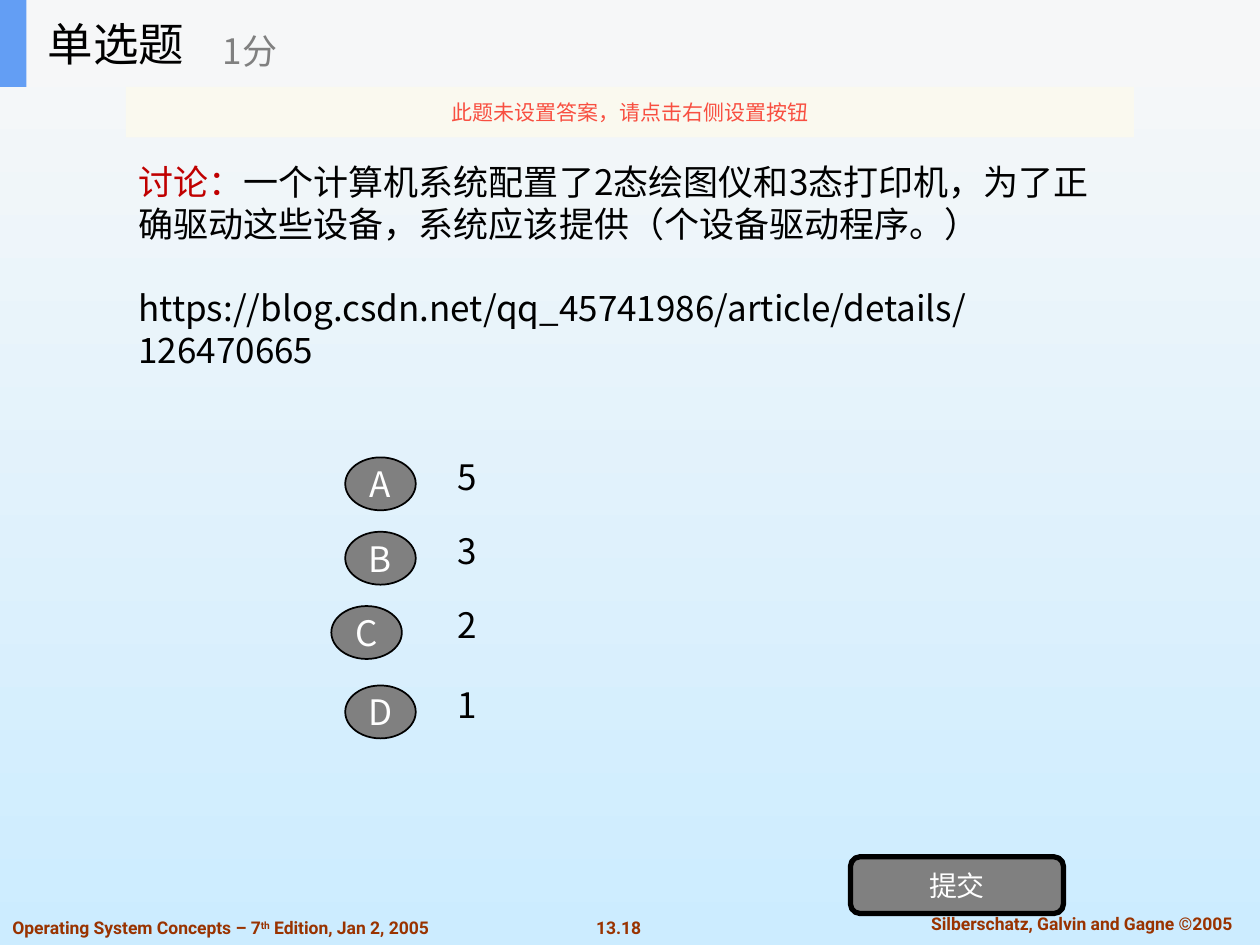
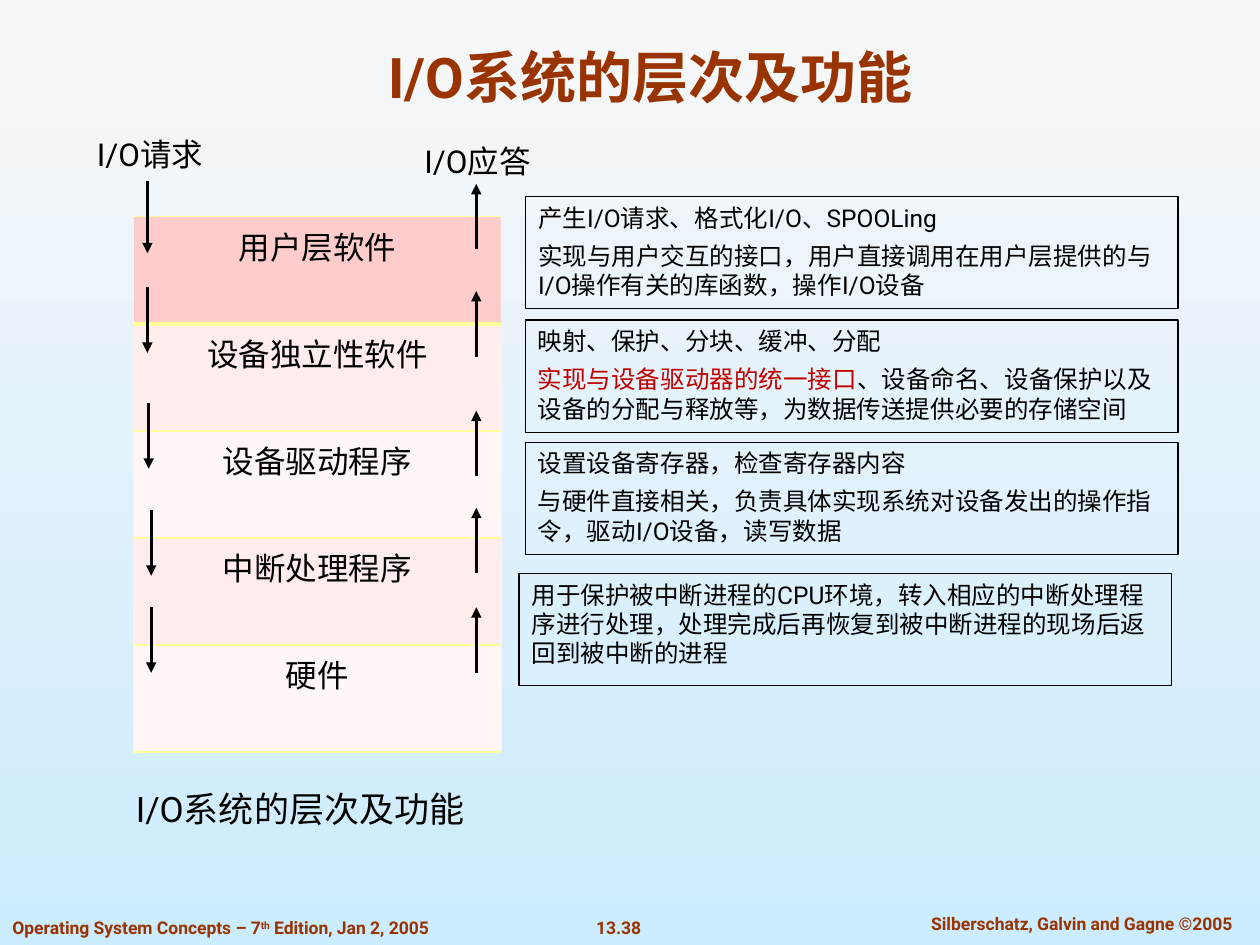
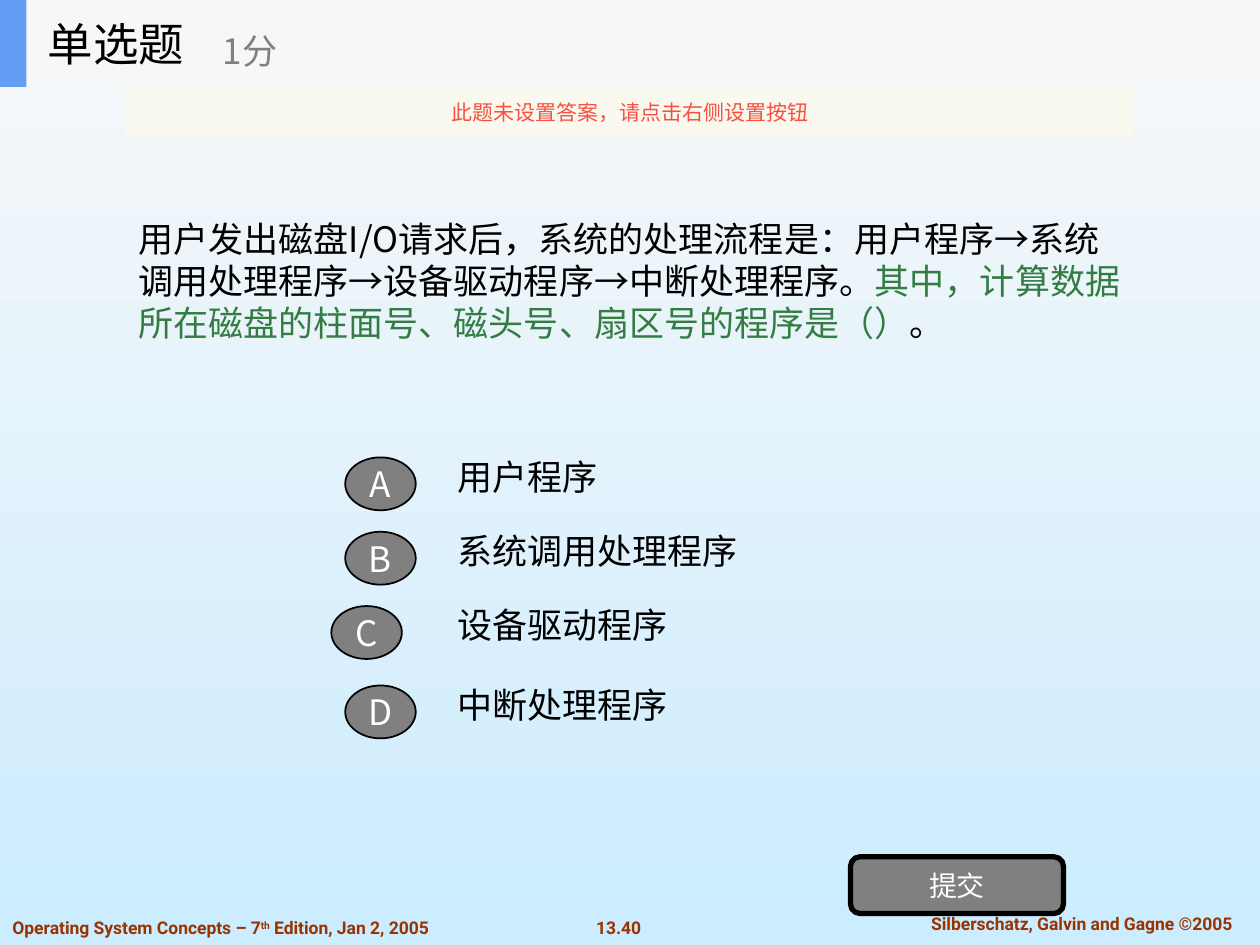
from lxml.etree import SubElement
from pptx import Presentation
from pptx.dml.color import RGBColor as RGB
from pptx.enum.shapes import MSO_CONNECTOR as LINE, MSO_SHAPE as SHAPE
from pptx.enum.text import MSO_ANCHOR as ANCHOR, MSO_AUTO_SIZE as AUTO, PP_ALIGN as ALIGN
from pptx.oxml.ns import qn
from pptx.util import Inches, Pt

HUES = {
    "top": "F8F8F8", "base": "CCECFF", "brand": "993300", "ink": "000000",
    "white": "FFFFFF", "gray": "808080", "red": "C00000", "green": "337D45",
    "band": "F6F7F8", "blue": "639EF4", "cream": "FBFAEF", "warn": "F84F41",
    "edge": "FFFF99", "rose": "FFCCCC", "pink": "FFECEC", "pale": "FFF6F6",
}
SANS, CJK = "Roboto", "Noto Sans CJK SC"
TASK = "此题未设置答案，请点击右侧设置按钮"
LAYERS = [("用户层软件", "rose"), ("设备独立性软件", "pink"), ("设备驱动程序", "pale"),
          ("中断处理程序", "pink"), ("硬件", "pale")]
DUTIES = [
    ((4.17, 1.56), [[("产生I/O请求、格式化I/O、SPOOLing", "ink")],
                    [("实现与用户交互的接口，用户直接调用在用户层提供的与I/O操作有关的库函数，操作I/O设备", "ink")]]),
    ((4.17, 2.54), [[("映射、保护、分块、缓冲、分配", "ink")],
                    [("实现与设备驱动器的统一接口", "red"),
                     ("、设备命名、设备保护以及设备的分配与释放等，为数据传送提供必要的存储空间", "ink")]]),
    ((4.17, 3.51), [[("设置设备寄存器，检查寄存器内容", "ink")],
                    [("与硬件直接相关，负责具体实现系统对设备发出的操作指令，驱动I/O设备，读写数据", "ink")]]),
    ((4.12, 4.55), [[("用于保护被中断进程的CPU环境，转入相应的中断处理程序进行处理，"
                      "处理完成后再恢复到被中断进程的现场后返回到被中断的进程", "ink")]]),
]
DOWN = [(1.17, 1.44, 2.01), (1.17, 2.28, 2.8), (1.18, 3.2, 3.72), (1.2, 4.05, 4.57), (1.2, 4.82, 5.34)]
UP = [(3.78, low, low - 0.52) for low in (1.98, 2.83, 3.78, 4.55, 5.34)]


def hue(name):
    """Return the named colour."""
    return RGB.from_string(HUES[name])


def span(box):
    """Turn a box in inches into lengths."""
    return [Inches(n) for n in box]


def write(frame, paras, size, font=CJK, align=ALIGN.LEFT, gap=0, bold=False):
    """Fill a text frame with paragraphs of (text, colour) runs."""
    for i, runs in enumerate(paras):
        para = frame.add_paragraph() if i else frame.paragraphs[0]
        para.alignment = align
        para.space_before = Pt(gap if i else 0)
        for words, tint in runs:
            run = para.add_run()
            run.text = words
            run.font.size, run.font.name, run.font.bold = Pt(size), font, bold
            run.font.color.rgb = hue(tint)
            SubElement(run._r.get_or_add_rPr(), qn("a:ea"), typeface=CJK)


def setup(frame, anchor=ANCHOR.TOP):
    """Make a frame wrap at a fixed size."""
    frame.word_wrap = True
    frame.auto_size = AUTO.NONE
    frame.vertical_anchor = anchor


def label(slide, box, paras, size, anchor=ANCHOR.TOP, **style):
    """Add a text box."""
    item = slide.shapes.add_textbox(*span(box))
    setup(item.text_frame, anchor)
    write(item.text_frame, paras, size, **style)
    return item


def block(slide, box, fill=None, kind=SHAPE.RECTANGLE, line=0):
    """Add a flat preset shape."""
    item = slide.shapes.add_shape(kind, *span(box))
    item.shadow.inherit = False
    paint(item, fill, line)
    return item


def paint(item, fill, line):
    """Set the fill and outline of a shape."""
    if fill:
        item.fill.solid()
        item.fill.fore_color.rgb = hue(fill)
    else:
        item.fill.background()
    if line:
        item.line.color.rgb = hue("ink")
        item.line.width = Pt(line)
    else:
        item.line.fill.background()


def badge(item, words, size, tint="white"):
    """Centre a caption in a shape."""
    frame = item.text_frame
    setup(frame, ANCHOR.MIDDLE)
    frame.margin_left = frame.margin_right = frame.margin_top = frame.margin_bottom = 0
    write(frame, [[(words, tint)]], size, align=ALIGN.CENTER)


def place(item, box, anchor=ANCHOR.TOP):
    """Move a placeholder to a box and on top."""
    item.left, item.top, item.width, item.height = span(box)
    setup(item.text_frame, anchor)
    item.element.getparent().append(item.element)


def footer(slide, page):
    """Add the three footer texts."""
    style = {"size": 10, "font": SANS, "bold": True}
    label(slide, (4.53, 7.23, 0.76, 0.27), [[(page, "brand")]], align=ALIGN.CENTER, **style)
    label(slide, (7.1, 7.2, 2.97, 0.27), [[("Silberschatz, Galvin and Gagne ©2005", "brand")]],
          align=ALIGN.CENTER, **style)
    parts = ["Operating System Concepts – 7", "th", " Edition, Jan 2, 2005"]
    note = label(slide, (0, 7.23, 3.69, 0.27), [[(part, "brand") for part in parts]], **style)
    power = note.text_frame.paragraphs[0].runs[1]
    power._r.get_or_add_rPr().set("baseline", "30000")


def header(slide, box):
    """Add the quiz band, its title and the score."""
    left, top, width, height = box
    block(slide, box, "band")
    block(slide, (left, top, 0.21, height), "blue")
    title = slide.shapes.title
    place(title, (left + 0.28, top, 2.08, height), ANCHOR.MIDDLE)
    write(title.text_frame, [[("单选题", "ink")]], 26)
    label(slide, (left + 1.67, top + 0.12, 2.5, 0.56), [[("1分", "gray")]], 20, ANCHOR.MIDDLE)


def notice(slide, box):
    """Add the translucent reminder strip."""
    strip = block(slide, box, "cream")
    color = strip.element.spPr.find(f"{qn('a:solidFill')}/{qn('a:srgbClr')}")
    SubElement(color, qn("a:alpha"), val="90000")
    badge(strip, TASK, 12, "warn")


def choice(slide, box, key, words, shift):
    """Add one answer with its lettered oval."""
    left, top, width, height = box
    label(slide, (left + 0.79, top, width - 0.79, height), [[(words, "ink")]], 20, ANCHOR.MIDDLE)
    oval = block(slide, (left + shift, top + 0.16, 0.56, 0.42), "gray", SHAPE.OVAL, 1)
    badge(oval, key, 20)


def quiz(deck, page, paras, height, answers):
    """Build a single-choice slide."""
    slide = deck.slides.add_slide(deck.slide_layouts[5])
    footer(slide, page)
    label(slide, (1, 1.06, 8, height), paras, 20, ANCHOR.MIDDLE, gap=24)
    for key, top, words in zip("ABCD", (3.47, 4.06, 4.65, 5.28), answers):
        choice(slide, (2.74, top, 3.39, 0.62), key, words, -0.11 if key == "C" else 0)
    badge(block(slide, (6.75, 6.8, 1.69, 0.45), "gray", SHAPE.ROUNDED_RECTANGLE, 3), "提交", 16)
    header(slide, (0, 0, 10, 0.69))
    notice(slide, (1, 0.69, 8, 0.4))


def border(cell, low):
    """Draw the four cell edges."""
    props = cell._tc.get_or_add_tcPr()
    for spot, (side, width) in enumerate(zip(("lnL", "lnR", "lnT", "lnB"), (1, 1, 1, low))):
        line = SubElement(props, qn(f"a:{side}"), w=str(Pt(width)))
        props.insert(spot, line)
        fill = SubElement(line, qn("a:solidFill"))
        SubElement(fill, qn("a:srgbClr"), val=HUES["edge"])


def stack(slide, box):
    """Add the table of software layers."""
    table = slide.shapes.add_table(len(LAYERS), 1, *span(box)).table
    table.first_row = table.horz_banding = False
    for i, (name, fill) in enumerate(LAYERS):
        table.rows[i].height = Inches(box[3] / len(LAYERS))
        cell = table.cell(i, 0)
        cell.fill.solid()
        cell.fill.fore_color.rgb = hue(fill)
        border(cell, 1 if i else 3)
        write(cell.text_frame, [[(name, "ink")]], 18, SANS, ALIGN.CENTER)


def arrow(slide, left, start, end):
    """Add a vertical arrow."""
    item = slide.shapes.add_connector(LINE.STRAIGHT, *span((left, start, left, end)))
    item.line.color.rgb = hue("ink")
    item.line.width = Pt(1.75)
    props = item.element.spPr
    SubElement(props.find(qn("a:ln")), qn("a:tailEnd"), type="triangle")
    SubElement(props, qn("a:effectLst"))


def duty(slide, box, paras, body=None):
    """Add an outlined text on what a layer does."""
    item = body or block(slide, box, line=0.75)
    if body:
        place(body, box)
        paint(body, None, 0.75)
    setup(item.text_frame)
    write(item.text_frame, paras, 14, SANS, gap=4.9)
    if body:
        for para in body.text_frame.paragraphs:
            props = para._p.get_or_add_pPr()
            props.set("marL", "0")
            props.set("indent", "0")
            SubElement(props, qn("a:buNone"))


def levels(deck, page):
    """Build the slide on the layers of the I/O system."""
    slide = deck.slides.add_slide(deck.slide_layouts[1])
    footer(slide, page)
    head = "I/O系统的层次及功能"
    title, body = slide.placeholders
    place(title, (0.75, 0.25, 8.83, 0.67), ANCHOR.BOTTOM)
    write(title.text_frame, [[(head, "brand")]], 32, SANS, ALIGN.CENTER, bold=True)
    stack(slide, (1.06, 1.72, 2.92, 4.25))
    label(slide, (0.98, 6.2, 2.83, 0.55), [[(head, "ink")]], 20, font=SANS)
    for i, (spot, paras) in enumerate(DUTIES):
        duty(slide, (*spot, 5.18, 0.89), paras, None if i else body)
    for track in DOWN + UP:
        arrow(slide, *track)
    for left, top, words in ((3.27, 1.08, "I/O应答"), (0.67, 1.02, "I/O请求")):
        label(slide, (left, top, 1.07, 0.47), [[(words, "ink")]], 18, font=SANS)


def main():
    """Build and save the deck."""
    deck = Presentation()
    deck.slide_width, deck.slide_height = span((10, 7.5))
    back = deck.slide_master.background.fill
    back.gradient()
    back.gradient_angle = 270
    for stop, name in zip(back.gradient_stops, ("top", "base")):
        stop.color.rgb = hue(name)
    quiz(deck, "13.18", [
        [("讨论：", "red"),
         ("一个计算机系统配置了2态绘图仪和3态打印机，为了正确驱动这些设备，系统应该提供（个设备驱动程序。）", "ink")],
        [("https://blog.csdn.net/qq_45741986/article/details/126470665", "ink")],
    ], 2.1, "5321")
    levels(deck, "13.38")
    quiz(deck, "13.40", [
        [("用户发出磁盘I/O请求后，系统的处理流程是：用户程序→系统调用处理程序→设备驱动程序→中断处理程序。", "ink"),
         ("其中，计算数据所在磁盘的柱面号、磁头号、扇区号的程序是（）", "green"), ("。", "ink")],
    ], 2.34, ["用户程序", "系统调用处理程序", "设备驱动程序", "中断处理程序"])
    deck.save("out.pptx")


if __name__ == "__main__":
    main()
